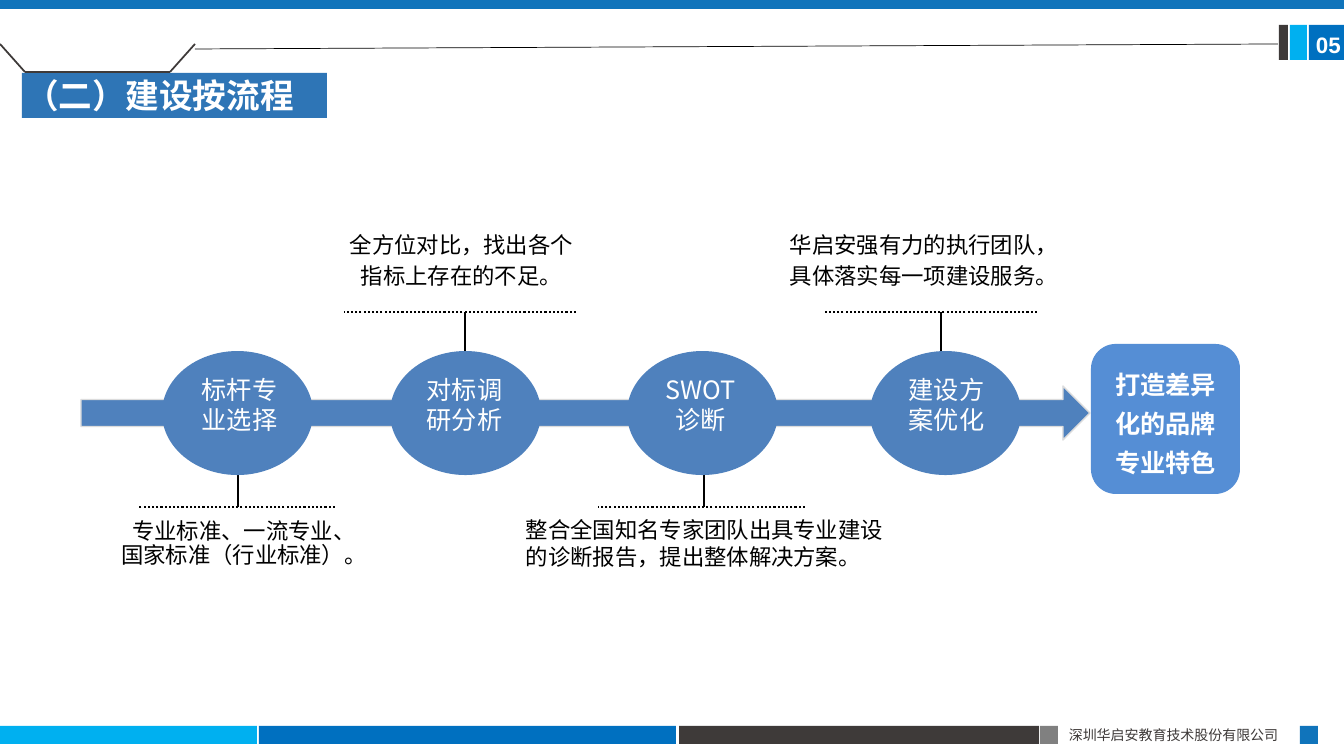
from pptx import Presentation
from pptx import util as u
from pptx.dml.color import RGBColor
from pptx.enum import dml, shapes, text
from pptx.oxml.ns import qn
from lxml import etree

EMU_PER_PX = 914400 / 100.8
CJK, LATIN = "Noto Sans CJK SC", "Arial"
WHITE, BLACK = RGBColor(255, 255, 255), RGBColor(0, 0, 0)
CYAN, BLUE = RGBColor(0x00, 0xB0, 0xF0), RGBColor(0x00, 0x70, 0xC0)
DARK, GREY = RGBColor(0x3E, 0x3A, 0x39), RGBColor(0x80, 0x80, 0x80)
BAND, STEEL = RGBColor(0x10, 0x74, 0xBB), RGBColor(0x4F, 0x81, 0xBD)
SKY, TITLE_BLUE = RGBColor(0x55, 0x8E, 0xD5), RGBColor(0x2E, 0x75, 0xB6)
PALE = RGBColor(0xDC, 0xDC, 0xDC)

TITLE = "（二）建设按流程"
PAGE = "05"
COMPANY = "深圳华启安教育技术股份有限公司"
GOAL = ["打造差异", "化的品牌", "专业特色"]

FOOTER = [(0, 257, CYAN), (259, 417, BLUE), (679, 360, DARK),
          (1040, 18, GREY), (1300, 18, BAND)]
BADGE = [(1309, 35, BLUE), (1290, 17, CYAN), (1279, 9, DARK)]
TAB = [(0, 44), (25, 72), (170, 72), (195, 44)]

# label, ellipse left, label left, stem x, dotted line (from, to), note above?
STEPS = [
    ("标杆专业选择", 162, 183, 238, (139, 335), False),
    ("对标调研分析", 390, 408, 465, (344, 576), True),
    ("SWOT诊断", 627, 644, 704, (598, 805), False),
    ("建设方案优化", 870, 890, 941, (824, 1037), True),
]
# lines, box, font, alignment, line spacing, space before in points
CENTER, LEFT = text.PP_ALIGN.CENTER, text.PP_ALIGN.LEFT
NOTES = [
    (["专业标准、一流专业、", "国家标准（行业标准）。"],
     (79, 515, 330, 59), CJK, CENTER, 0.9, 0),
    (["全方位对比，找出各个", "指标上存在的不足。"],
     (244, 226, 435, 70), LATIN, CENTER, 1, 3.2),
    (["整合全国知名专家团队出具专业建设的诊断报告，提出整体解决方案。"],
     (516, 511, 398, 65), LATIN, LEFT, 1, 0),
    (["华启安强有力的执行团队，", "具体落实每一项建设服务。"],
     (742, 226, 364, 70), LATIN, CENTER, 1, 3.2),
]

prs = Presentation()


def px(*values):
    return [u.Emu(round(v * EMU_PER_PX)) for v in values]


prs.slide_width, prs.slide_height = px(1344, 756)
s = prs.slides.add_slide(prs.slide_layouts[5])


def add_block(kind, box, fill, line=None):
    sp = s.shapes.add_shape(kind, *px(*box))
    sp.shadow.inherit = False
    sp.fill.solid()
    sp.fill.fore_color.rgb = fill
    if line is None:
        sp.line.fill.background()
    else:
        sp.line.color.rgb = line
        sp.line.width = u.Pt(1)
    return sp


def add_line(start, end, color=BLACK, width=1.5, dash=None):
    c = s.shapes.add_connector(shapes.MSO_CONNECTOR.STRAIGHT, *px(*start, *end))
    etree.SubElement(c._element.spPr, qn("a:effectLst"))
    c.line.color.rgb = color
    c.line.width = u.Pt(width)
    if dash:
        c.line.dash_style = dash


def write(sp, lines, size, color, font=CJK, bold=False, align=LEFT,
          spacing=1, before=0, anchor=text.MSO_ANCHOR.TOP):
    tf = sp.text_frame
    tf.text = "\n".join(lines)
    tf.word_wrap = True
    tf.auto_size = text.MSO_AUTO_SIZE.NONE
    tf.vertical_anchor = anchor
    for i, p in enumerate(tf.paragraphs):
        p.alignment = align
        p.line_spacing = spacing
        p.space_before = u.Pt(before if i else 0)
        for r in p.runs:
            r.font.name, r.font.size, r.font.bold = font, u.Pt(size), bold
            r.font.color.rgb = color


def add_text(box, lines, size, color, **style):
    write(s.shapes.add_textbox(*px(*box)), lines, size, color, **style)


RECT = shapes.MSO_SHAPE.RECTANGLE

# Title, on its own blue band
title = s.shapes.title
title.left, title.top, title.width, title.height = px(22, 73, 305, 45)
title.fill.solid()
title.fill.fore_color.rgb = TITLE_BLUE
write(title, [TITLE], 24, WHITE, bold=True, anchor=text.MSO_ANCHOR.MIDDLE)
tf = title.text_frame
tf.margin_left, tf.margin_top, tf.margin_right, tf.margin_bottom = px(3, 0, 3, 0)

# Frame
for left, width, color in FOOTER:
    add_block(RECT, (left, 726, width, 18), color)
add_text((1059, 722, 242, 27), [COMPANY], 10, DARK)
for left, width, color in BADGE:
    add_block(RECT, (left, 25, width, 35), color)
add_block(RECT, (0, 0, 1344, 9), BAND)
for start, end in zip(TAB, TAB[1:]):
    add_line(start, end, DARK, 1.25)
add_text((1306, 26, 50, 37), [PAGE], 16, WHITE, font=LATIN, bold=True)
add_line((195, 49), (1278, 44), width=0.5)

# Process
add_block(shapes.MSO_SHAPE.RIGHT_ARROW, (81, 386, 1009, 54), STEEL, PALE)
for label, left, label_left, stem, (x1, x2), above in STEPS:
    rule_y, stem_y = (312, 352) if above else (507, 470)
    add_line((stem, rule_y), (stem, stem_y))
    add_line((x2, rule_y), (x1, rule_y), dash=dml.MSO_LINE.ROUND_DOT)
    add_block(shapes.MSO_SHAPE.OVAL, (left, 351, 151, 124), STEEL)
    add_text((label_left, 369, 113, 72), [label], 18, WHITE, align=CENTER)
for lines, box, font, align, spacing, before in NOTES:
    add_text(box, lines, 16, BLACK, font=font, align=align,
             spacing=spacing, before=before)
goal = add_block(shapes.MSO_SHAPE.ROUNDED_RECTANGLE, (1091, 344, 149, 150), SKY)
write(goal, GOAL, 18, WHITE, bold=True, align=CENTER, spacing=1.3,
      anchor=text.MSO_ANCHOR.MIDDLE)

prs.save("out.pptx")
